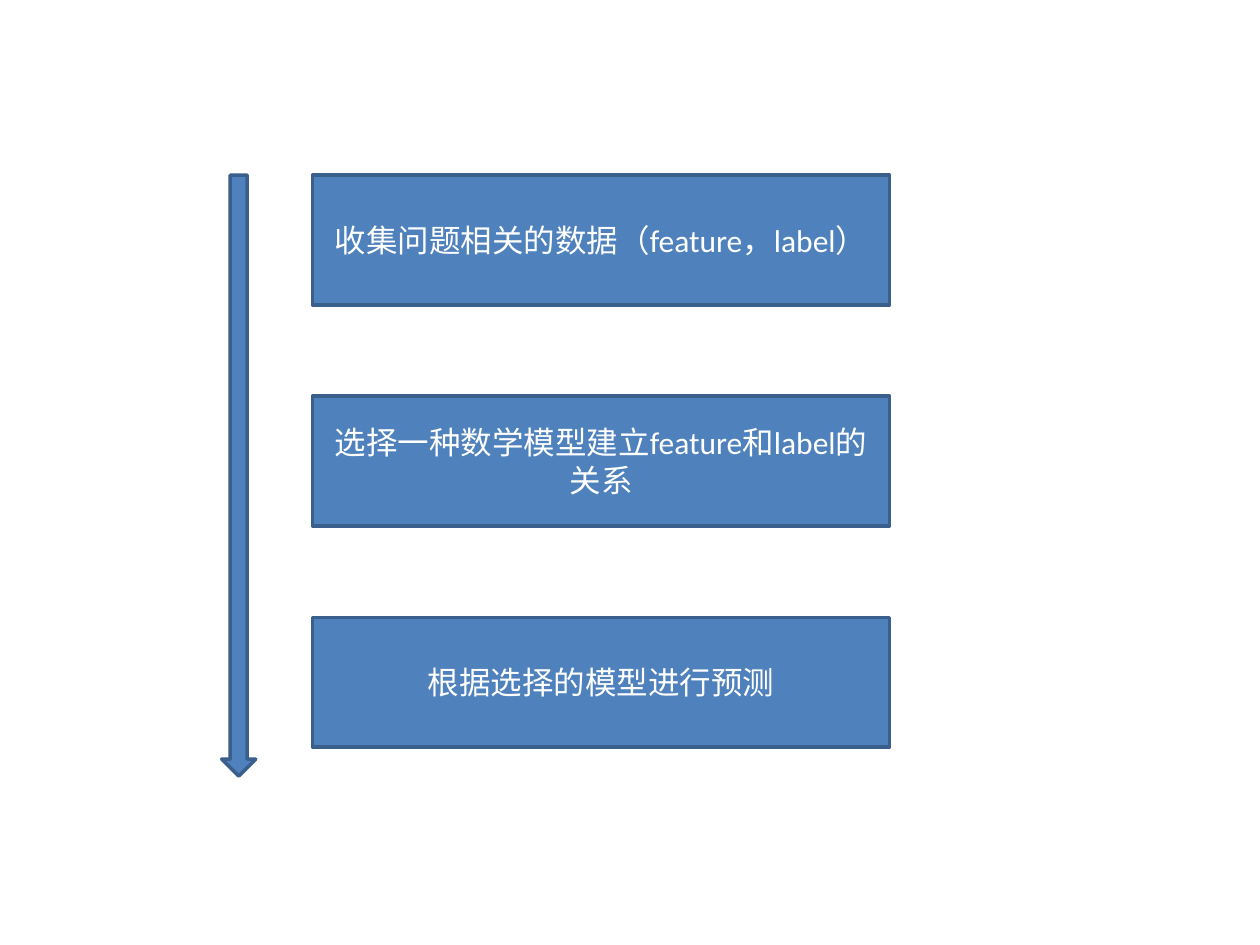
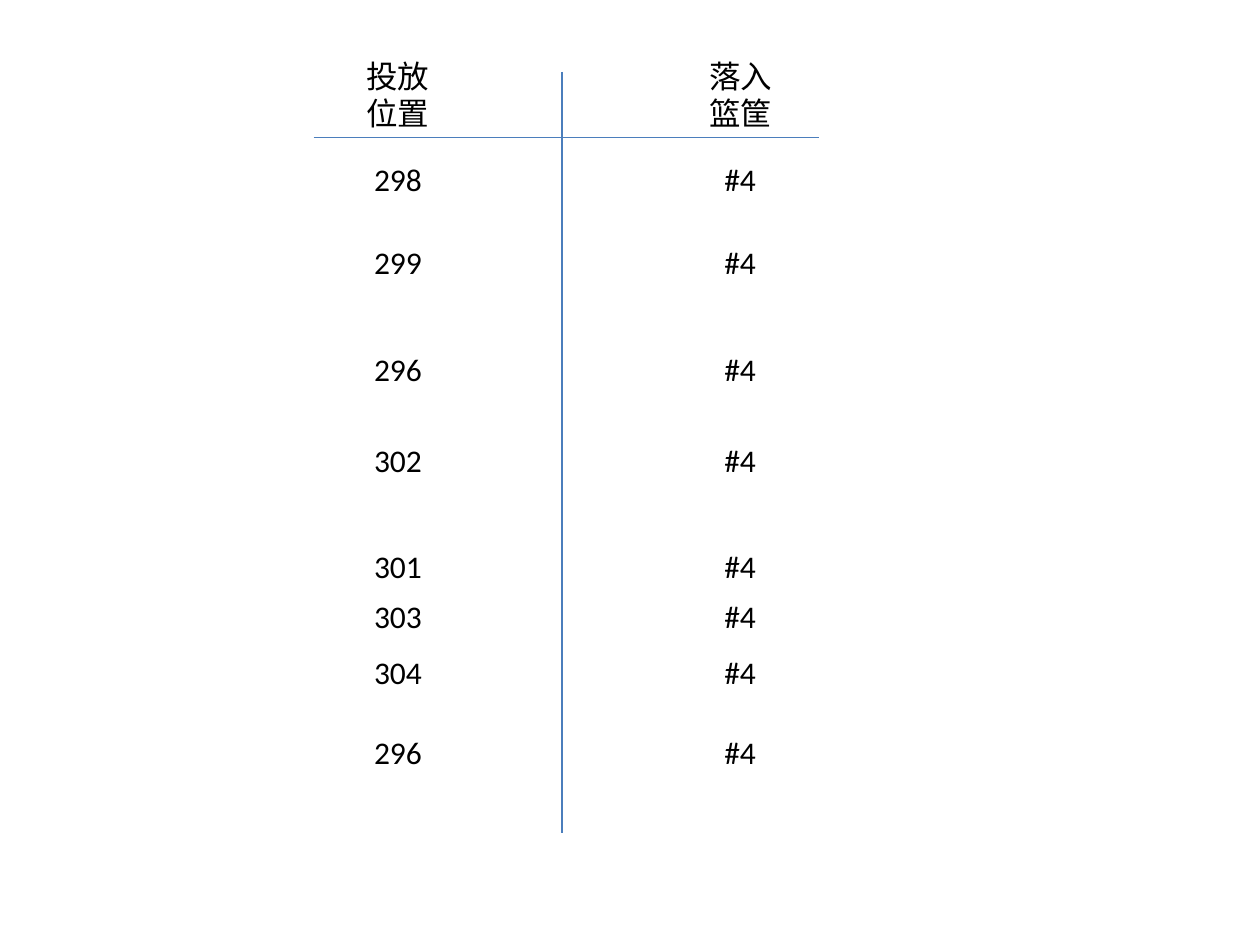
import dataclasses

import pptx
import pptx.dml.color
import pptx.enum.shapes
import pptx.enum.text
import pptx.oxml
import pptx.oxml.ns
import pptx.util

Inches = pptx.util.Inches
Pt = pptx.util.Pt
Color = pptx.dml.color.RGBColor.from_string
Shape = pptx.enum.shapes.MSO_SHAPE
Align = pptx.enum.text.PP_ALIGN
Anchor = pptx.enum.text.MSO_ANCHOR


@dataclasses.dataclass(frozen=True)
class Theme:
    font: str = "Calibri"
    size: int = 18
    fill: str = "4F81BD"
    outline: str = "3A5F8C"
    outline_width: float = 2
    rule: str = "4B7EBC"
    rule_width: float = 0.75
    light: str = "FFFFFF"
    dark: str = "000000"


theme = Theme()


def write(shape, text, color=theme.dark, align=Align.LEFT, anchor=Anchor.TOP):
    """Fill a shape with text, one paragraph per line."""
    frame = shape.text_frame
    frame.word_wrap = True
    frame.vertical_anchor = anchor
    frame.text = text
    for para in frame.paragraphs:
        para.alignment = align
        for span in para.runs:
            span.font.name = theme.font
            span.font.size = Pt(theme.size)
            span.font.color.rgb = Color(color)


def add_block(page, kind, *bounds):
    """Add a filled, outlined shape without a shadow."""
    block = page.shapes.add_shape(kind, *map(Inches, bounds))
    block.shadow.inherit = False
    block.fill.solid()
    block.fill.fore_color.rgb = Color(theme.fill)
    block.line.color.rgb = Color(theme.outline)
    block.line.width = Pt(theme.outline_width)
    return block


deck = pptx.Presentation()
deck.slide_width = Inches(10)
deck.slide_height = Inches(7.5)
blank_layout = deck.slide_layouts[6]

# Modelling steps
page = deck.slides.add_slide(blank_layout)
steps = [
    "收集问题相关的数据（feature，label）",
    "选择一种数学模型建立feature和label的关系",
    "根据选择的模型进行预测",
]
first_top = 1.39
step_pitch = 1.755
for index, step in enumerate(steps):
    block = add_block(page, Shape.RECTANGLE, 2.48, first_top + index * step_pitch, 4.58, 1.03)
    write(block, step, color=theme.light, align=Align.CENTER, anchor=Anchor.MIDDLE)
add_block(page, Shape.DOWN_ARROW, 1.76, first_top, 0.27, 4.77)

# Drop positions and the baskets they lead to
page = deck.slides.add_slide(blank_layout)
rules = [(2.49, 1.09, 6.5, 1.09), (4.46, 0.57, 4.46, 6.61)]
for ends in rules:
    rule = page.shapes.add_connector(
        pptx.enum.shapes.MSO_CONNECTOR.STRAIGHT, *map(Inches, ends)
    )
    rule.line.color.rgb = Color(theme.rule)
    rule.line.width = Pt(theme.rule_width)
    rule._element.spPr.append(pptx.oxml.parse_xml(
        f"<a:effectLst {pptx.oxml.ns.nsdecls('a')}/>"
    ))

labels = [("投放位置", 2.81, 0.4, 0.92, 0.71), ("落入\n篮筐", 5.53, 0.4, 1.02, 0.71)]
drops = [
    (298, 1.22), (299, 1.88), (296, 2.73), (302, 3.45),
    (301, 4.29), (303, 4.69), (304, 5.13), (296, 5.77),
]
for position, top in drops:
    labels.append((str(position), 2.87, top, 1.15, 0.4))
    labels.append(("#4", 5.65, top, 0.79, 0.4))
for text, *bounds in labels:
    box = page.shapes.add_textbox(*map(Inches, bounds))
    write(box, text)
    box.text_frame.auto_size = pptx.enum.text.MSO_AUTO_SIZE.SHAPE_TO_FIT_TEXT

deck.save("out.pptx")
